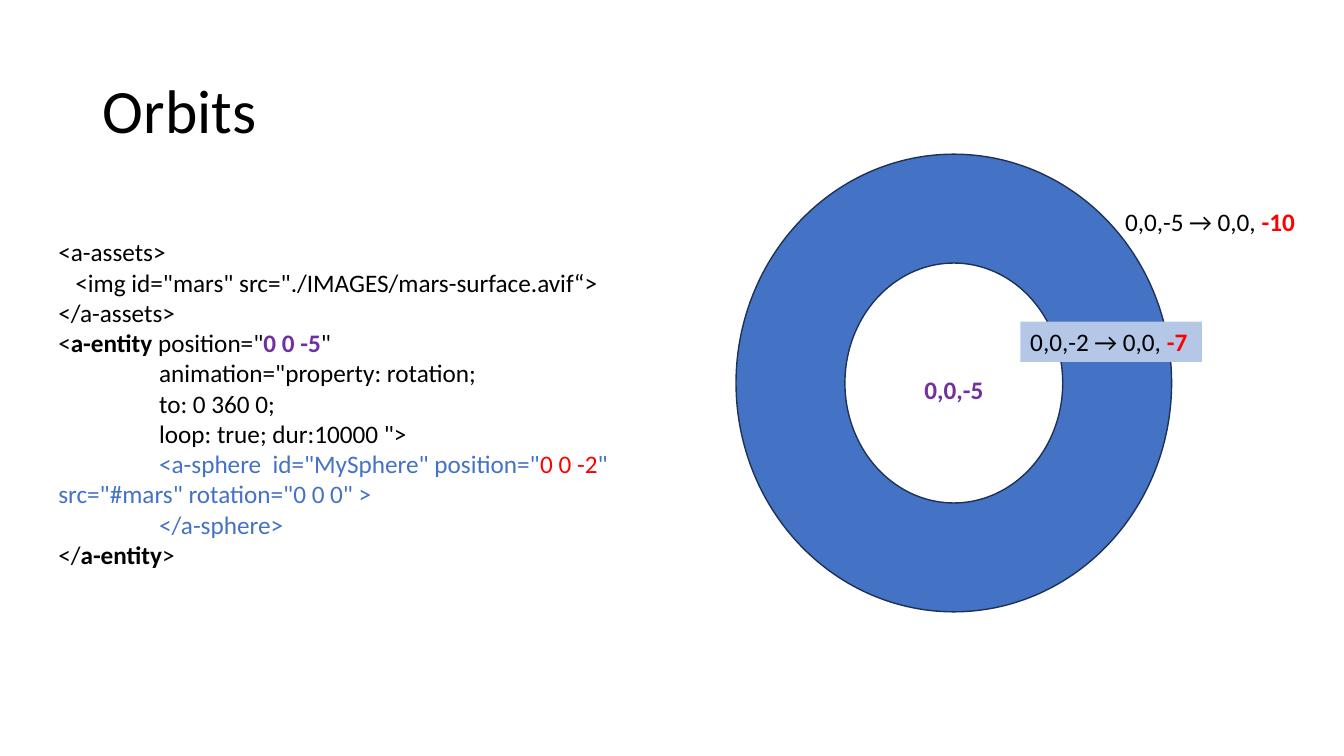
from pptx import Presentation
from pptx.dml.color import RGBColor
from pptx.enum.shapes import MSO_SHAPE as Shape
from pptx.enum.text import MSO_ANCHOR as Anchor, MSO_AUTO_SIZE as AutoSize, PP_ALIGN as Align
from pptx.util import Inches, Pt

BLACK = RGBColor(0x00, 0x00, 0x00)
BLUE = RGBColor(0x44, 0x72, 0xC4)
NAVY = RGBColor(0x1E, 0x32, 0x56)
PALE_BLUE = RGBColor(0xB4, 0xC7, 0xE7)
PURPLE = RGBColor(0x70, 0x30, 0xA0)
RED = RGBColor(0xFF, 0x00, 0x00)

# Each code line: first-line indent in inches, then (text, colour, bold) spans.
CODE_LINES = [
    (0, [("<a-assets>", BLACK, False)]),
    (0.17, [('<img id="mars" src="./IMAGES/mars-surface.avif“>', BLACK, False)]),
    (0, [("</a-assets>", BLACK, False)]),
    (0, [("<", BLACK, False), ("a-entity", BLACK, True), (' position="', BLACK, False),
         ("0 0 -5", PURPLE, True), ('"', BLACK, False)]),
    (1, [('animation="property: rotation;', BLACK, False)]),
    (1, [("to: 0 360 0;", BLACK, False)]),
    (1, [('loop: true; dur:10000 ">', BLACK, False)]),
    (1, [('<a-sphere  id="MySphere" position="', BLUE, False), ("0 0 -2", RED, False),
         ('" src="#mars" rotation="0 0 0" >', BLUE, False)]),
    (1, [("</a-sphere>", BLUE, False)]),
    (0, [("</", BLACK, False), ("a-entity", BLACK, True), (">", BLACK, False)]),
]


def place(shape, left, top, width, height):
    shape.left, shape.top = Inches(left), Inches(top)
    shape.width, shape.height = Inches(width), Inches(height)


def add_spans(para, spans, size=18):
    para.alignment = Align.LEFT
    for text, color, bold in spans:
        span = para.add_run()
        span.text = text
        span.font.name = "Calibri"
        span.font.size = Pt(size)
        span.font.bold = bold
        span.font.color.rgb = color


def add_title(slide, left, top, width, height):
    title = slide.shapes.title
    place(title, left, top, width, height)
    title.text_frame.vertical_anchor = Anchor.MIDDLE
    para = title.text_frame.paragraphs[0]
    para.line_spacing = 0.9
    add_spans(para, [("Orbits", BLACK, False)], 44)


def add_label(slide, left, top, width, spans, fill=None):
    """Add a one-line coordinate label, on a filled rectangle if a fill is given."""
    box = slide.shapes.add_textbox(Inches(left), Inches(top), Inches(width), Inches(0.4))
    if fill is not None:
        box.fill.solid()
        box.fill.fore_color.rgb = fill
    box.text_frame.word_wrap = False
    box.text_frame.auto_size = AutoSize.SHAPE_TO_FIT_TEXT
    add_spans(box.text_frame.paragraphs[0], spans)


def add_orbit_diagram(slide, left, top, width, height):
    ring = slide.shapes.add_shape(Shape.DONUT, Inches(left), Inches(top),
                                  Inches(width), Inches(height))
    ring.shadow.inherit = False
    ring.fill.solid()
    ring.fill.fore_color.rgb = BLUE
    ring.line.color.rgb = NAVY
    ring.line.width = Pt(1)
    add_label(slide, left + 1.77, top + 2.13, 0.79, [("0,0,-5", PURPLE, True)])
    add_label(slide, left + 3.76, top + 0.47, 1.93,
              [("0,0,-5 → 0,0, ", BLACK, False), ("-10", RED, True)])
    add_label(slide, left + 2.82, top + 1.66, 1.8,
              [("0,0,-2 → 0,0, ", BLACK, False), ("-7", RED, True)], PALE_BLUE)


def add_code(slide, left, top, width, height):
    box = slide.shapes.add_textbox(Inches(left), Inches(top), Inches(width), Inches(height))
    frame = box.text_frame
    frame.word_wrap = True
    frame.auto_size = AutoSize.SHAPE_TO_FIT_TEXT
    for number, (indent, spans) in enumerate(CODE_LINES):
        para = frame.add_paragraph() if number else frame.paragraphs[0]
        properties = para._p.get_or_add_pPr()
        properties.set("marL", "0")
        properties.set("indent", str(Inches(indent)))
        add_spans(para, spans)


def main():
    deck = Presentation()
    deck.slide_width, deck.slide_height = Inches(13.33), Inches(7.5)
    slide = deck.slides.add_slide(deck.slide_layouts[5])
    add_title(slide, 0.92, 0.4, 11.5, 1.45)
    add_orbit_diagram(slide, 7.3, 1.53, 4.32, 4.54)
    add_code(slide, 0.48, 2.3, 6.67, 3.43)
    deck.save("out.pptx")


if __name__ == "__main__":
    main()
